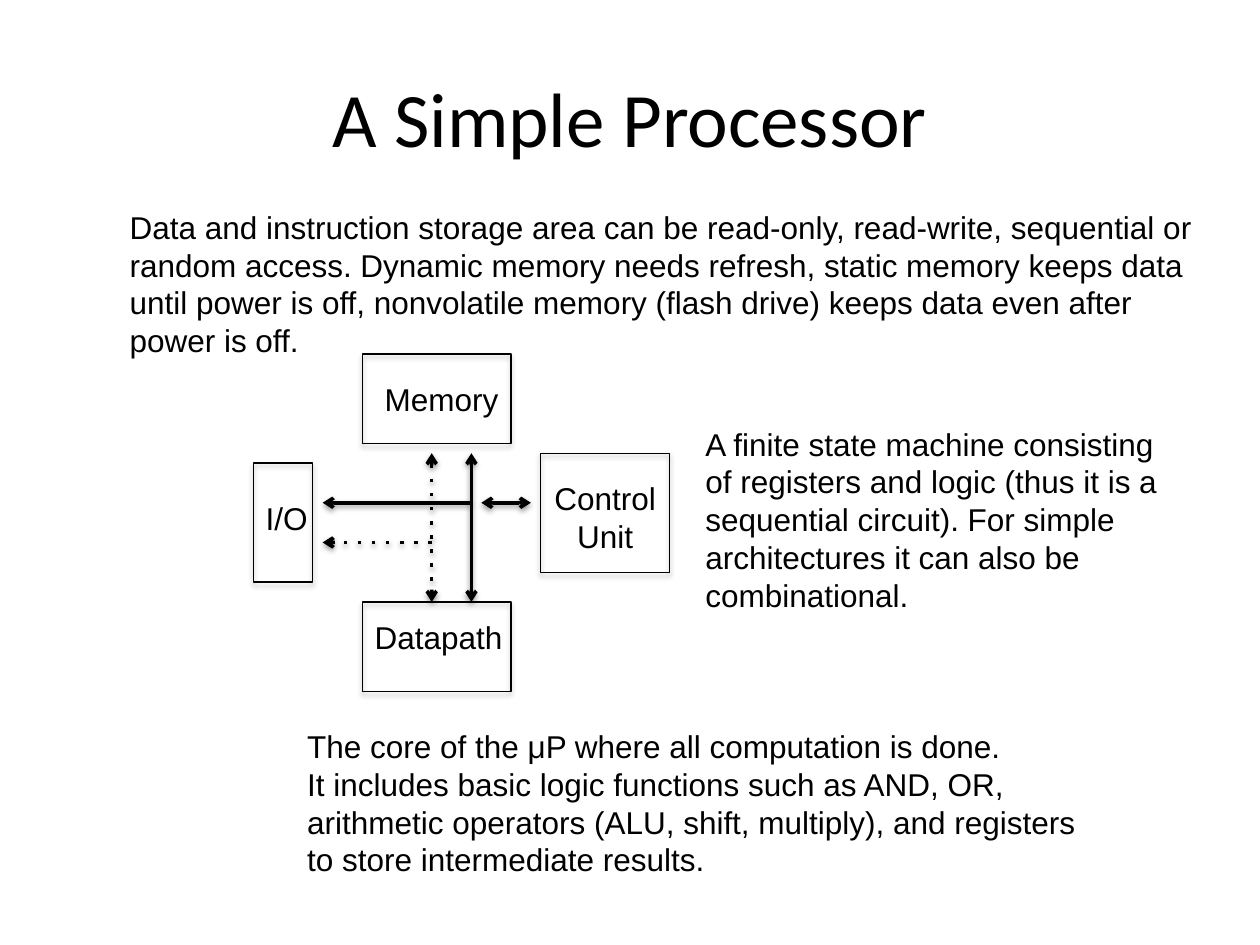
import pptx
import pptx.dml.color
import pptx.enum.shapes
import pptx.enum.text
import pptx.oxml.ns
import pptx.util
from lxml import etree

BLACK = pptx.dml.color.RGBColor(0, 0, 0)
WHITE = pptx.dml.color.RGBColor(255, 255, 255)
LEFT, TOP, UNIT = 2.01, 2.81, 0.0787  # diagram grid, in inches

# Name, box (column, row, columns, rows), label (column, row, width, height in inches)
BLOCKS = [
    (["Control", "Unit"], (29, 10, 13, 12), (29, 12, 1.02, 0.71)),
    (["I/O"], (0, 11, 6, 12), (0, 14, 0.54, 0.4)),
    (["Memory"], (11, 0, 15, 9), (12, 2, 1.11, 0.4)),
    (["Datapath"], (11, 25, 15, 9), (11, 26, 1.23, 0.4)),
]

# Start and end in grid cells, dotted, arrowhead at both ends
BUSES = [
    ((18, 19), (7, 19), True, False),
    ((18, 10), (18, 25), True, True),
    ((22, 10), (22, 25), False, True),
    ((22, 15), (7, 15), False, False),
    ((23, 15), (28, 15), False, True),
]

NOTES = [
    ((0.93, 1.6, 8.71, 1.92), [
        "Data and instruction storage area can be read-only, read-write, sequential or",
        "random access. Dynamic memory needs refresh, static memory keeps data",
        "until power is off, nonvolatile memory (flash drive) keeps data even after",
        "power is off."]),
    ((5.5, 3.32, 3.84, 1.62), [
        "A finite state machine consisting",
        "of registers and logic (thus it is a",
        "sequential circuit). For simple",
        "architectures it can also be",
        "combinational."]),
    ((2.34, 5.72, 6.36, 1.31), [
        "The core of the μP where all computation is done.",
        "It includes basic logic functions such as AND, OR,",
        "arithmetic operators (ALU, shift, multiply), and registers",
        "to store intermediate results."]),
]


def inches(*lengths):
    return [pptx.util.Inches(length) for length in lengths]


def grid_point(column, row):
    return LEFT + column * UNIT, TOP + row * UNIT


def add_child(parent, tag, **attributes):
    return etree.SubElement(parent, pptx.oxml.ns.qn(tag), attributes)


def add_shadow(shape, distance, alpha):
    effects = add_child(shape.element.spPr, "a:effectLst")
    shadow = add_child(effects, "a:outerShdw", blurRad=str(pptx.util.Pt(3.1)),
                       dist=str(pptx.util.Pt(distance)), dir="5400000", rotWithShape="0")
    color = add_child(shadow, "a:srgbClr", val=str(BLACK))
    add_child(color, "a:alpha", val=str(alpha * 1000))


def add_run(paragraph, text, font_name, size):
    run = paragraph.add_run()
    run.text = text
    run.font.name = font_name
    run.font.size = pptx.util.Pt(size)
    run.font.color.rgb = BLACK


def add_text(shapes, place, lines, alignment=pptx.enum.text.PP_ALIGN.LEFT):
    frame = shapes.add_textbox(*inches(*place)).text_frame
    frame.word_wrap = False
    frame.auto_size = pptx.enum.text.MSO_AUTO_SIZE.SHAPE_TO_FIT_TEXT
    for index, line in enumerate(lines):
        paragraph = frame.add_paragraph() if index else frame.paragraphs[0]
        paragraph.alignment = alignment
        add_run(paragraph, line, "Arial", 18)


def add_block(shapes, name, box, label):
    centred = len(name) > 1
    alignment = pptx.enum.text.PP_ALIGN.CENTER if centred else pptx.enum.text.PP_ALIGN.LEFT
    add_text(shapes, (*grid_point(*label[:2]), *label[2:]), name, alignment)
    column, row, columns, rows = box
    rectangle = shapes.add_shape(
        pptx.enum.shapes.MSO_SHAPE.RECTANGLE,
        *inches(*grid_point(column, row), columns * UNIT, rows * UNIT))
    rectangle.fill.background()
    rectangle.line.color.rgb = BLACK
    rectangle.line.width = pptx.util.Pt(0.75)
    add_shadow(rectangle, 1.8, 35)


def add_bus(shapes, start, end, dotted, two_way):
    connector = shapes.add_connector(
        pptx.enum.shapes.MSO_CONNECTOR.STRAIGHT,
        *inches(*grid_point(*start), *grid_point(*end)))
    connector.line.color.rgb = BLACK
    connector.line.width = pptx.util.Pt(2)
    line = connector.line._get_or_add_ln()
    if dotted:
        add_child(line, "a:prstDash", val="dot")
    if two_way:
        add_child(line, "a:headEnd", type="arrow")
    add_child(line, "a:tailEnd", type="arrow")
    add_shadow(connector, 1.6, 38)


def add_title(slide, text):
    title = slide.shapes.title
    title.left, title.top, title.width, title.height = inches(0.5, 0.3, 9, 1.25)
    title.text_frame.vertical_anchor = pptx.enum.text.MSO_ANCHOR.MIDDLE
    paragraph = title.text_frame.paragraphs[0]
    paragraph.alignment = pptx.enum.text.PP_ALIGN.CENTER
    add_run(paragraph, text, "Calibri", 44)


def main():
    presentation = pptx.Presentation()
    presentation.slide_width, presentation.slide_height = inches(10, 7.5)
    slide = presentation.slides.add_slide(presentation.slide_layouts[5])
    slide.background.fill.solid()
    slide.background.fill.fore_color.rgb = WHITE
    add_title(slide, "A Simple Processor")

    # Processor diagram
    diagram = slide.shapes.add_group_shape()
    for block in BLOCKS:
        add_block(diagram.shapes, *block)
    for bus in BUSES:
        add_bus(diagram.shapes, *bus)

    # Explanations around the diagram
    for place, lines in NOTES:
        add_text(slide.shapes, place, lines)

    presentation.save("out.pptx")


if __name__ == "__main__":
    main()
